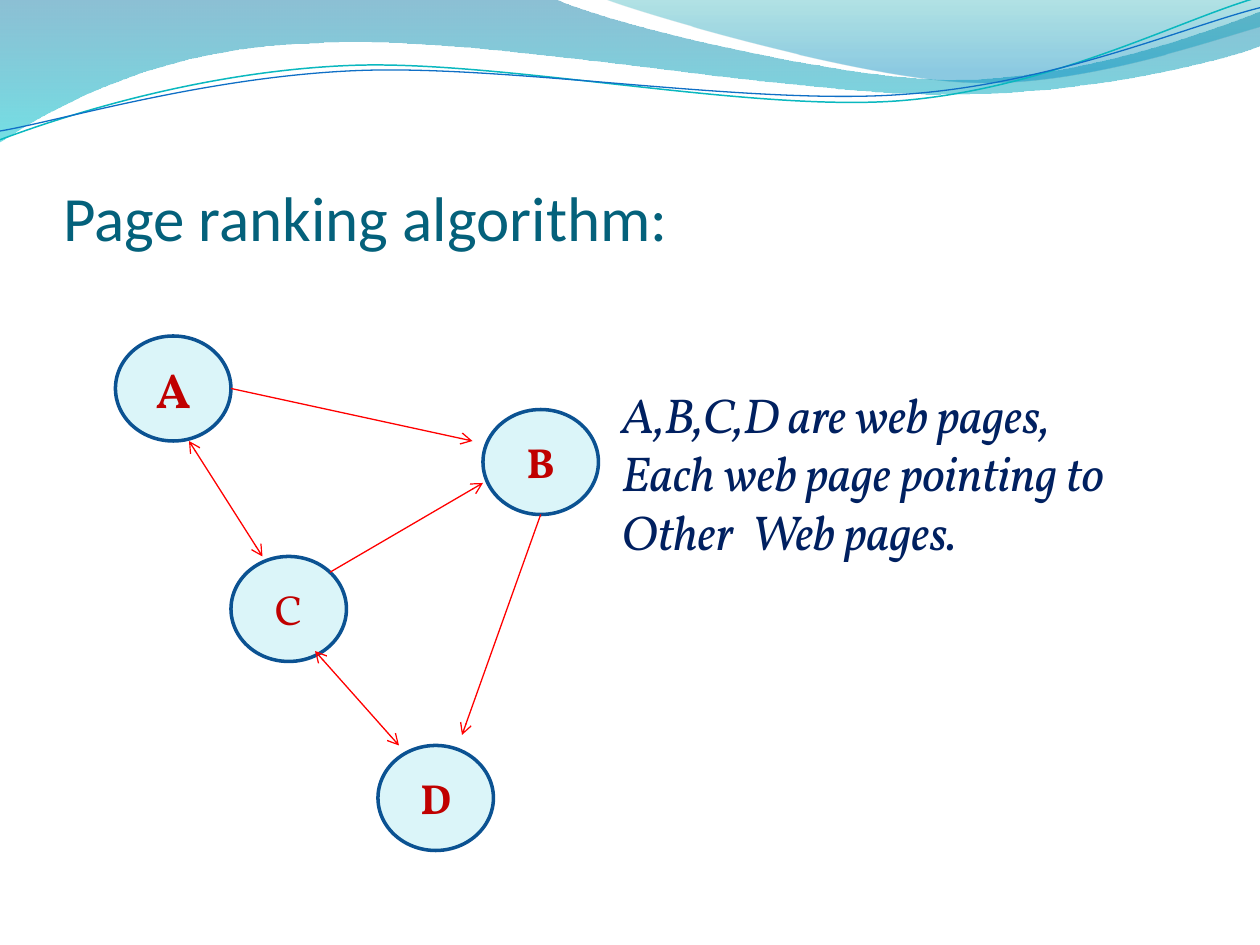
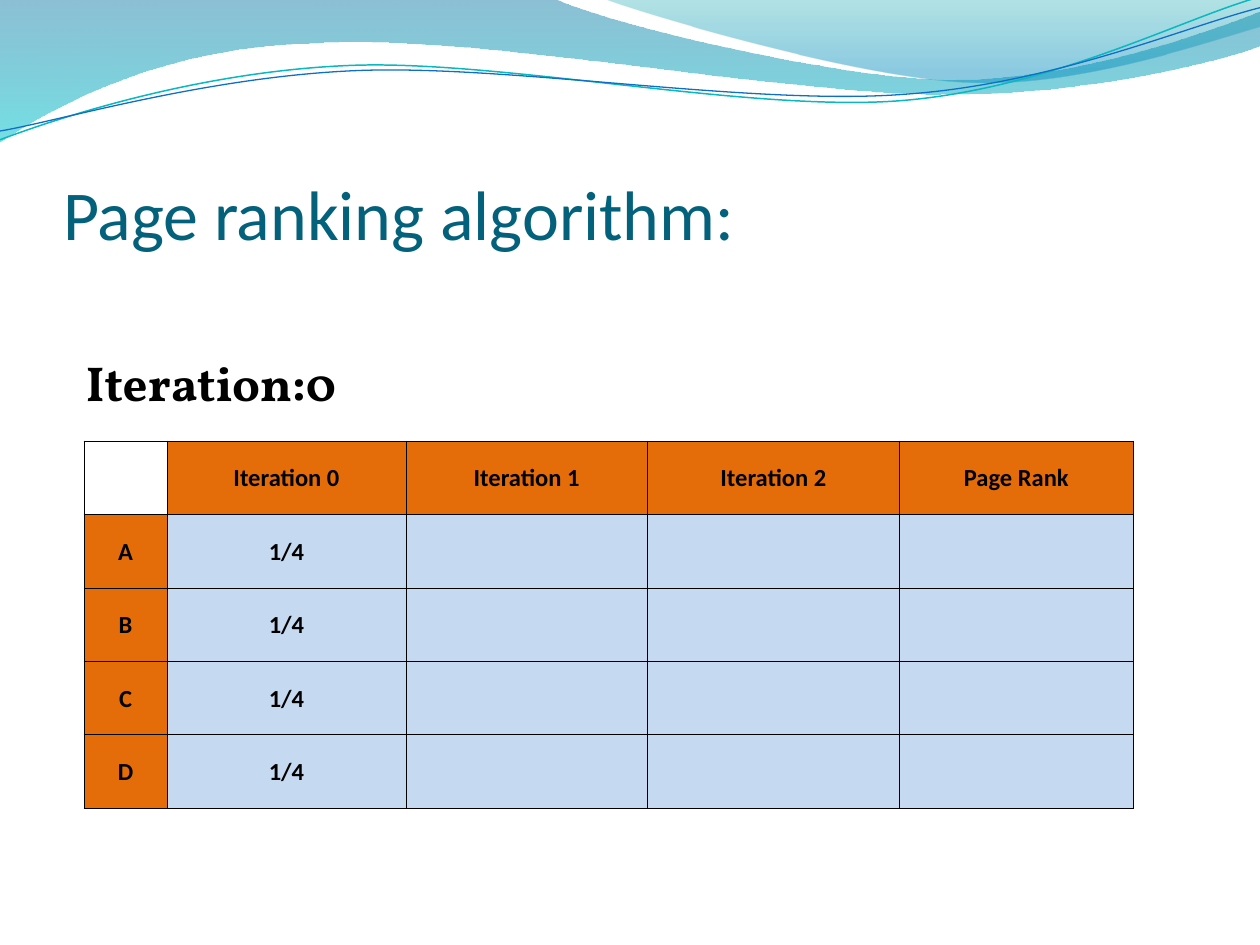
from lxml import etree
from pptx import Presentation
from pptx.dml.color import RGBColor
from pptx.enum.shapes import MSO_CONNECTOR, MSO_SHAPE
from pptx.enum.text import MSO_ANCHOR, MSO_AUTO_SIZE, PP_ALIGN
from pptx.oxml.ns import qn
from pptx.util import Pt

ELLIPSE = MSO_SHAPE.OVAL
STRAIGHT = MSO_CONNECTOR.STRAIGHT
MIDDLE, BOTTOM = MSO_ANCHOR.MIDDLE, MSO_ANCHOR.BOTTOM
LEFT, CENTER = PP_ALIGN.LEFT, PP_ALIGN.CENTER
NO_FIT = MSO_AUTO_SIZE.NONE

COLORS = {
    "title": "04617B", "black": "000000", "navy": "002060",
    "node": "DBF5F9", "node line": "0B5292", "node text": "C00000", "arrow": "FF0000",
    "header": "E46D0A", "cell": "C5D9F1",
    "deep blue": "0074A1", "aqua": "00C6CF", "teal": "00A1A9", "sky": "008BBF",
    "teal line": "0AB8BF", "blue line": "0F6FC6",
}
RGB = {name: RGBColor.from_string(value) for name, value in COLORS.items()}
SANS, SERIF = "Calibri", "Vollkorn"
LINE_TILT = 357.3

# An outline is a start point, then segments: one point is a line, three are a curve.
# Gradient stops are position, colour and opacity in percent.
WAVES = [
    {"start": (0, 0),
     "segments": [
         [(316.8, -0.7)],
         [(342.7, 12.2), (478.1, 45.4), (545.8, 45.4)],
         [(614.2, 45.4), (689.8, 18.7), (720, 6.5)],
         [(720.7, 25.9)],
         [(707.8, 31.7), (626.4, 54.7), (537.1, 54)],
         [(446.4, 54), (275, 20.2), (185, 24.5)],
         [(92.9, 25.9), (33.1, 59.8), (-0.7, 81.4)]],
     "stops": [(0, "deep blue", 45), (1, "aqua", 55)]},
    {"start": (344.9, -0.7),
     "segments": [
         [(366.5, 7.9), (491, 44.6), (553.7, 46.8)],
         [(616.3, 49.7), (691.9, 23), (720, 15.1)],
         [(720, 0)]],
     "stops": [(0, "teal", 30), (0.8, "sky", 45)]},
    {"start": (-1.4, 62.9),
     "segments": [
         [(33.7, 51.6), (114, 29.4), (199.8, 29.9)],
         [(284.8, 30.3), (425.8, 67.2), (512.4, 64.9)],
         [(599, 62.4), (676.4, 25.7), (720.2, 15.6)]],
     "line": ("teal line", 0.85)},
    {"start": (-1.1, 57.9),
     "segments": [
         [(33, 53.8), (118.3, 32.5), (204, 33)],
         [(290.5, 33.5), (428.9, 63.8), (515.5, 61.3)],
         [(601.3, 59.6), (678.5, 30.1), (721.4, 21.4)]],
     "line": ("blue line", 0.75)},
]


def bend(shape, segments):
    """Turn each three-point segment of a straight-sided freeform into a curve."""
    lines = iter(list(shape.element.iter(qn("a:lnTo"))))
    for segment in segments:
        legs = [next(lines) for _ in segment]
        if len(legs) == 3:
            curve = etree.Element(qn("a:cubicBezTo"))
            legs[0].addprevious(curve)
            for leg in legs:
                curve.append(leg[0])
                leg.getparent().remove(leg)


def style_text(frame, size, font, color, bold=False, italic=False, align=LEFT):
    """Format every paragraph and run of a text frame."""
    for para in frame.paragraphs:
        para.alignment = align
        for span in para.runs:
            span.font.size = Pt(size)
            span.font.name = font
            span.font.color.rgb = RGB[color]
            span.font.bold = bold
            span.font.italic = italic


deck = Presentation()
deck.slide_width, deck.slide_height = Pt(720), Pt(540)
title_only = deck.slide_layouts[5]
graph_page, table_page = [deck.slides.add_slide(title_only) for _ in range(2)]

# Waves, drawn once and moved to the back of the shared layout
for number, wave in enumerate(WAVES):
    x, y = wave["start"]
    points = [(Pt(x), Pt(y)) for segment in wave["segments"] for x, y in segment]
    builder = graph_page.shapes.build_freeform(Pt(x), Pt(y))
    builder.add_line_segments(points, close="stops" in wave)
    shape = builder.convert_to_shape()
    bend(shape, wave["segments"])
    shape.shadow.inherit = False
    if "stops" in wave:
        shape.line.fill.background()
        shape.fill.gradient()
        shape.fill.gradient_angle = 270
        for stop, (position, color, _) in zip(shape.fill.gradient_stops, wave["stops"]):
            stop.position = position
            stop.color.rgb = RGB[color]
        for tint, (_, _, opacity) in zip(shape.element.spPr.iter(qn("a:srgbClr")), wave["stops"]):
            etree.SubElement(tint, qn("a:alpha"), val=str(opacity * 1000))
    else:
        color, width = wave["line"]
        shape.rotation = LINE_TILT
        shape.fill.background()
        shape.line.color.rgb = RGB[color]
        shape.line.width = Pt(width)
    shape.element.nvSpPr.cNvPr.set("id", str(20 + number))
    title_only.shapes.element.insert(2 + number, shape.element)

# Titles
for page, size in ((graph_page, 36), (table_page, 40)):
    title = page.shapes.title
    title.left, title.top, title.width, title.height = Pt(36), Pt(55.5), Pt(648), Pt(90)
    frame = title.text_frame
    frame.text = "Page ranking algorithm:"
    frame.auto_size = NO_FIT
    frame.vertical_anchor = BOTTOM
    frame.margin_left = frame.margin_right = frame.margin_bottom = 0
    frame.margin_top = Pt(3.6)
    style_text(frame, size, SANS, "title")

# Graph of web pages
for name, left, top, size, bold in (("A", 66, 192, 28, True), ("B", 276, 234, 24, True),
                                    ("C", 132, 318, 24, False), ("D", 216, 426, 24, True)):
    node = graph_page.shapes.add_shape(ELLIPSE, Pt(left), Pt(top), Pt(66), Pt(60))
    node.shadow.inherit = False
    node.fill.solid()
    node.fill.fore_color.rgb = RGB["node"]
    node.line.color.rgb = RGB["node line"]
    node.line.width = Pt(2)
    node.text_frame.text = name
    node.text_frame.vertical_anchor = MIDDLE
    style_text(node.text_frame, size, SERIF, "node text", bold=bold, align=CENTER)

BOTH_ENDS, TO_END = ("a:headEnd", "a:tailEnd"), ("a:tailEnd",)
for ends, *points in ((BOTH_ENDS, 108, 252, 150, 318), (BOTH_ENDS, 180, 372, 228, 426),
                      (TO_END, 188.6, 327, 276, 276), (TO_END, 309, 294, 264, 420),
                      (TO_END, 132, 222, 270, 252)):
    link = graph_page.shapes.add_connector(STRAIGHT, *map(Pt, points))
    link.line.color.rgb = RGB["arrow"]
    link.line.width = Pt(0.75)
    line_xml = link.element.spPr.find(qn("a:ln"))
    for end in ends:
        etree.SubElement(line_xml, qn(end), type="arrow")
    etree.SubElement(link.element.spPr, qn("a:effectLst"))

# Table of ranks
rows = [["", "Iteration 0", "Iteration 1", "Iteration 2", "Page Rank"]]
rows += [[name, "1/4", "", "", ""] for name in "ABCD"]
column_widths = (47.5, 136.5, 138, 144, 133.75)
table = table_page.shapes.add_table(len(rows), len(column_widths), Pt(48), Pt(252),
                                    Pt(sum(column_widths)), Pt(42 * len(rows))).table
table.first_row = table.horz_banding = False
for column, width in zip(table.columns, column_widths):
    column.width = Pt(width)
for row_number, texts in enumerate(rows):
    table.rows[row_number].height = Pt(42)
    for column_number, text in enumerate(texts):
        cell = table.cell(row_number, column_number)
        for side in ("a:lnL", "a:lnR", "a:lnT", "a:lnB"):
            border = etree.SubElement(cell._tc.get_or_add_tcPr(), qn(side), w=str(Pt(0.5)))
            paint = etree.SubElement(border, qn("a:solidFill"))
            etree.SubElement(paint, qn("a:srgbClr"), val=COLORS["black"])
        if row_number == column_number == 0:
            cell.fill.background()
        else:
            is_header = row_number == 0 or column_number == 0
            cell.fill.solid()
            cell.fill.fore_color.rgb = RGB["header" if is_header else "cell"]
        if text:
            cell.text = text
            cell.vertical_anchor = MIDDLE
            cell.margin_left = cell.margin_right = cell.margin_top = Pt(0.75)
            cell.margin_bottom = 0
            style_text(cell.text_frame, 14, SANS, "black", bold=True, align=CENTER)

# Free text beside the graph and above the table
for page, place, text, color, bold, italic in (
        (graph_page, (348, 216, 318, 108.5),
         "A,B,C,D are web pages,\nEach web page pointing to Other  Web pages.", "navy", False, True),
        (table_page, (42, 198, 246, 41), "Iteration:0", "black", True, False)):
    box = page.shapes.add_textbox(*map(Pt, place))
    box.text_frame.word_wrap = True
    box.text_frame.text = text
    style_text(box.text_frame, 28, SERIF, color, bold=bold, italic=italic)

deck.save("out.pptx")
